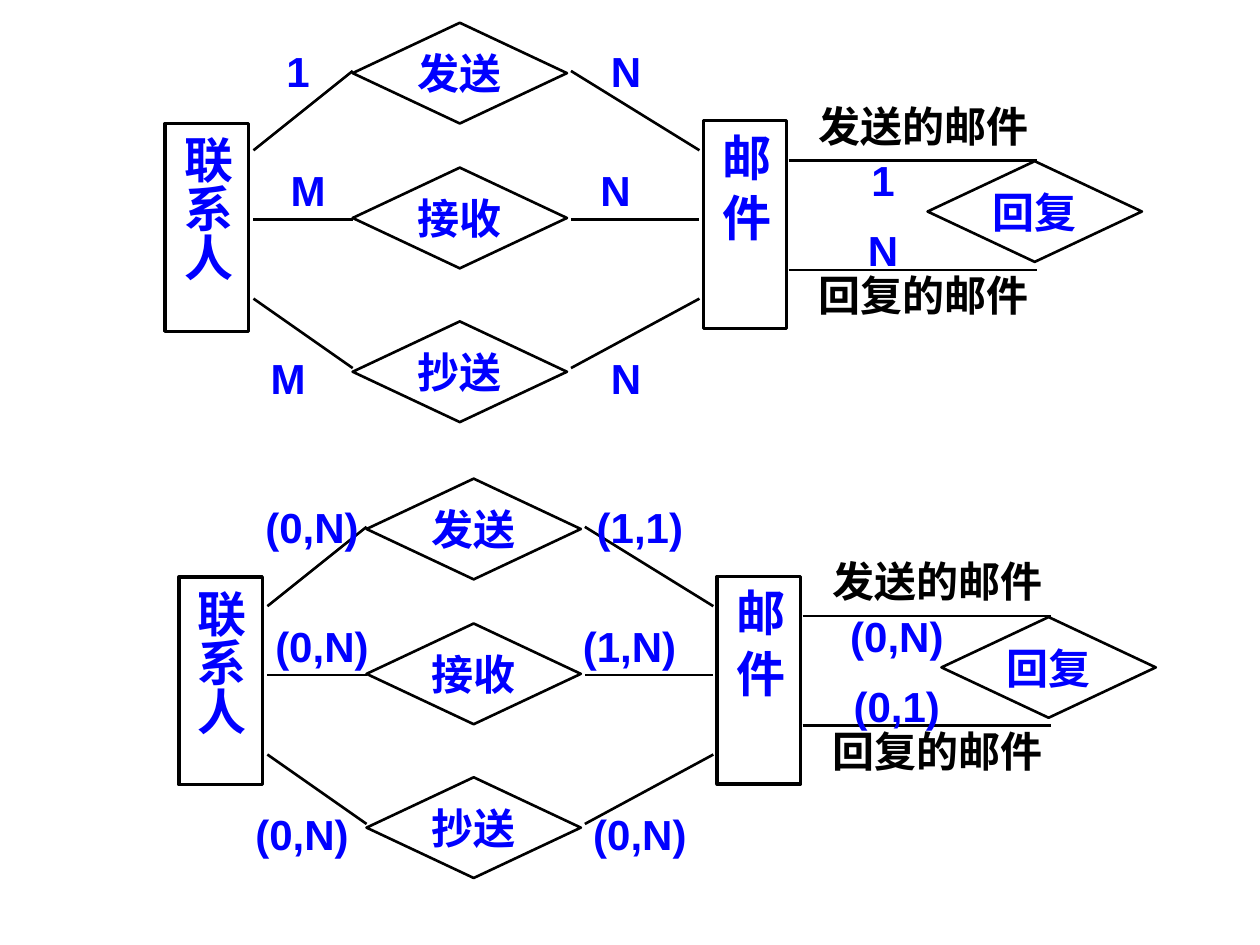
from lxml import etree
from pptx import Presentation
from pptx.dml.color import RGBColor
from pptx.enum.shapes import MSO_CONNECTOR, MSO_SHAPE
from pptx.enum.text import MSO_ANCHOR, MSO_AUTO_SIZE, PP_ALIGN
from pptx.oxml.ns import qn
from pptx.util import Cm, Pt

BLUE = RGBColor(0x00, 0x00, 0xFF)
BLACK = RGBColor(0x00, 0x00, 0x00)
RECTANGLE = MSO_SHAPE.RECTANGLE
DIAMOND = MSO_SHAPE.DIAMOND
STRAIGHT = MSO_CONNECTOR.STRAIGHT
MIDDLE = MSO_ANCHOR.MIDDLE
CENTER = PP_ALIGN.CENTER
FIXED = MSO_AUTO_SIZE.NONE
GROW = MSO_AUTO_SIZE.SHAPE_TO_FIT_TEXT
CJK_FONT = "Noto Sans CJK SC"
LATIN_FONT = "Arial"

ENTITY_SIZE = (1.68, 4.19)
RELATION_SIZE = (4.32, 2.03)
LABEL_SIZE = (2.0, 1.0)
ROLE_SIZE = (4.4, 1.25)

ENTITY_FORMAT = {"size": Pt(28), "bold": True, "name": CJK_FONT}
RELATION_FORMAT = {"size": Pt(24), "bold": True, "name": CJK_FONT}
LABEL_FORMAT = {"size": Pt(24), "bold": True, "name": LATIN_FONT}
NO_MARGINS = {"margin_left": 0, "margin_right": 0, "margin_top": 0, "margin_bottom": 0}
ENTITY_FRAME = {"margin_left": Cm(0.23), "margin_right": Cm(0.23),
                "margin_top": Cm(0.25), "margin_bottom": Cm(0.25),
                "word_wrap": True, "auto_size": GROW}
RELATION_FRAME = {**NO_MARGINS, "word_wrap": True}
LABEL_FRAME = {**NO_MARGINS, "word_wrap": False, "auto_size": FIXED}

RELATIONS = [
    {"name": "发送", "top": 0, "inner": 0.97, "outer": 2.57,
     "label_top": 0.46, "label_lefts": (1.68, 8.29)},
    {"name": "接收", "top": 2.92, "inner": 3.96, "outer": 3.96,
     "label_top": 2.87, "label_lefts": (1.88, 8.08)},
    {"name": "抄送", "top": 6.02, "inner": 6.96, "outer": 5.56,
     "label_top": 6.66, "label_lefts": (1.48, 8.29)},
]
REPLY_ROLES = [("发送的邮件", 1.44, 2.77, 2.67), ("回复的邮件", 4.85, 4.98, 4.07)]

DIAGRAMS = [
    {"origin": (3.61, 9.65), "contact_top": 1.98, "reply": ("(0,N)", "(0,1)"),
     "pairs": [("(0,N)", "(1,1)"), ("(0,N)", "(1,N)"), ("(0,N)", "(0,N)")]},
    {"origin": (3.33, 0.46), "contact_top": 2.03, "reply": ("1", "N"),
     "pairs": [("1", "N"), ("M", "N"), ("M", "N")]},
]


def write_text(box, text, frame_format, font_format, color, before=0):
    """Fill a box with one centred, formatted line of text."""
    frame = box.text_frame
    frame.vertical_anchor = MIDDLE
    for key, value in frame_format.items():
        setattr(frame, key, value)
    para = frame.paragraphs[0]
    para.alignment = CENTER
    para.space_before = Pt(before)
    span = para.add_run()
    span.text = text
    for key, value in font_format.items():
        setattr(span.font, key, value)
    span.font.color.rgb = color
    etree.SubElement(span.font._element, qn("a:ea")).set("typeface", CJK_FONT)


def add_outline(page, kind, origin, offset, size, weight):
    """Add an unfilled black-edged shape at an offset from the origin."""
    left, top = (Cm(start + step) for start, step in zip(origin, offset))
    box = page.shapes.add_shape(kind, left, top, Cm(size[0]), Cm(size[1]))
    box.shadow.inherit = False
    box.fill.background()
    box.line.color.rgb = BLACK
    box.line.width = Pt(weight)
    return box


def add_entity(page, origin, offset, text):
    """Add an entity rectangle with vertical text."""
    box = add_outline(page, RECTANGLE, origin, offset, ENTITY_SIZE, 2)
    write_text(box, text, ENTITY_FRAME, ENTITY_FORMAT, BLUE, 17.5)
    box.element.txBody.bodyPr.set("vert", "eaVert")


def add_relation(page, origin, offset, text):
    """Add a relation diamond."""
    box = add_outline(page, DIAMOND, origin, offset, RELATION_SIZE, 1.5)
    write_text(box, text, RELATION_FRAME, RELATION_FORMAT, BLUE, 15)


def add_link(page, origin, start, end):
    """Add a straight black line between two offsets."""
    points = [Cm(base + step) for point in (start, end) for base, step in zip(origin, point)]
    link = page.shapes.add_connector(STRAIGHT, *points)
    link.line.color.rgb = BLACK
    link.line.width = Pt(1.5)
    etree.SubElement(link.element.spPr, qn("a:effectLst"))


def add_label(page, origin, offset, text, size=LABEL_SIZE, color=BLUE):
    """Add an unwrapped text label."""
    left, top = (Cm(start + step) for start, step in zip(origin, offset))
    box = page.shapes.add_textbox(left, top, Cm(size[0]), Cm(size[1]))
    write_text(box, text, LABEL_FRAME, LABEL_FORMAT, color)


def add_relation_row(page, origin, relation, pair):
    """Add a relation with its two links and cardinalities."""
    add_relation(page, origin, (3.78, relation["top"]), relation["name"])
    for inner_left, outer_left in ((3.78, 1.78), (8.18, 10.77)):
        add_link(page, origin, (inner_left, relation["inner"]), (outer_left, relation["outer"]))
    for left, text in zip(relation["label_lefts"], pair):
        add_label(page, origin, (left, relation["label_top"]), text)


def add_reply(page, origin, cardinalities):
    """Add the reply relation that loops back to the mail entity."""
    add_relation(page, origin, (15.37, 2.79), "回复")
    for (role, role_top, link_top, label_top), text in zip(REPLY_ROLES, cardinalities):
        add_link(page, origin, (12.57, link_top), (17.58, link_top))
        add_label(page, origin, (13.08, role_top), role, ROLE_SIZE, BLACK)
        add_label(page, origin, (13.47, label_top), text)


def add_diagram(page, origin, contact_top, pairs, reply):
    """Add one entity-relationship diagram."""
    add_entity(page, origin, (0, contact_top), "联系人")
    add_entity(page, origin, (10.85, 1.97), "邮 件")
    for relation, pair in zip(RELATIONS, pairs):
        add_relation_row(page, origin, relation, pair)
    add_reply(page, origin, reply)


def main():
    """Build and save the deck."""
    deck = Presentation()
    deck.slide_width, deck.slide_height = Cm(25.4), Cm(19.05)
    page = deck.slides.add_slide(deck.slide_layouts[6])
    for diagram in DIAGRAMS:
        add_diagram(page, **diagram)
    deck.save("out.pptx")


if __name__ == "__main__":
    main()
